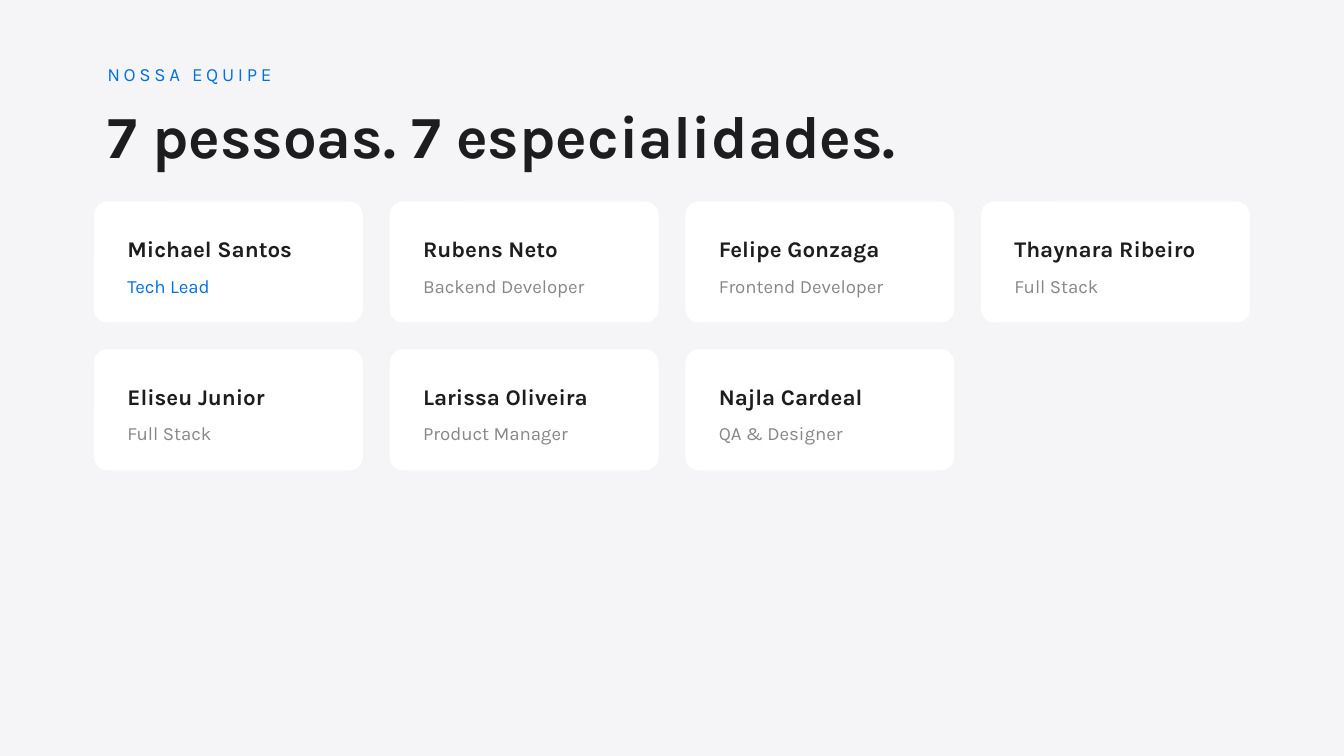
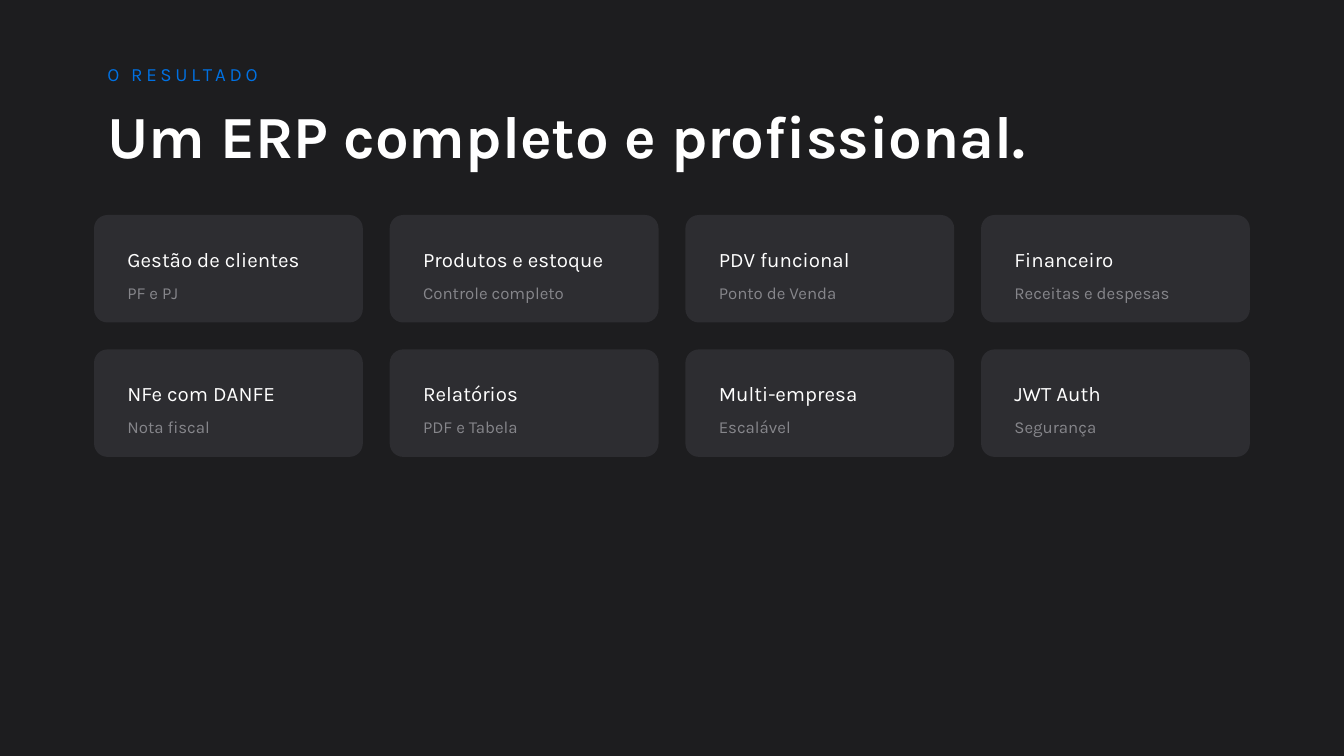
import pptx
import pptx.dml.color
import pptx.enum.shapes
import pptx.enum.text
import pptx.util

COLORS = {
    "light": "F5F5F7",
    "dark": "1D1D1F",
    "white": "FFFFFF",
    "panel": "2D2D31",
    "accent": "0071E3",
    "muted": "86868B",
}
FONT = "Karla"
CELL = pptx.util.Inches(0.1)
SLIDE_COLUMNS, SLIDE_ROWS = 100, 56.25
MARGIN = 7
CARDS_PER_ROW = 4
CARD_WIDTH, CARD_GAP, CARD_PADDING = 20, 2, 1.5
CORNER_RADIUS = 1

TEAM = [
    ("Michael Santos", "Tech Lead"),
    ("Rubens Neto", "Backend Developer"),
    ("Felipe Gonzaga", "Frontend Developer"),
    ("Thaynara Ribeiro", "Full Stack"),
    ("Eliseu Junior", "Full Stack"),
    ("Larissa Oliveira", "Product Manager"),
    ("Najla Cardeal", "QA & Designer"),
]
FEATURES = [
    ("Gestão de clientes", "PF e PJ"),
    ("Produtos e estoque", "Controle completo"),
    ("PDV funcional", "Ponto de Venda"),
    ("Financeiro", "Receitas e despesas"),
    ("NFe com DANFE", "Nota fiscal"),
    ("Relatórios", "PDF e Tabela"),
    ("Multi-empresa", "Escalável"),
    ("JWT Auth", "Segurança"),
]


def color(name):
    return pptx.dml.color.RGBColor.from_string(COLORS[name])


def cells(*counts):
    return [round(count * CELL) for count in counts]


def add_label(slide, text, area, size, tone, bold=False, spacing=0):
    label = slide.shapes.add_textbox(*cells(*area))
    frame = label.text_frame
    frame.word_wrap = True
    frame.vertical_anchor = pptx.enum.text.MSO_ANCHOR.MIDDLE
    paragraph = frame.paragraphs[0]
    run = paragraph.add_run()
    run.text = text
    paragraph.font.name = FONT
    paragraph.font.size = pptx.util.Pt(size)
    paragraph.font.bold = bold
    paragraph.font.color.rgb = color(tone)
    if spacing:
        run.font._element.set("spc", str(spacing * 100))


def add_headed_slide(deck, background, eyebrow, title, title_width, title_tone):
    slide = deck.slides.add_slide(deck.slide_layouts[6])
    slide.background.fill.solid()
    slide.background.fill.fore_color.rgb = color(background)
    add_label(slide, eyebrow, (MARGIN, 4, 30, 3), 10, "accent", spacing=2)
    add_label(slide, title, (MARGIN, 7, title_width, 6), 32, title_tone, bold=True)
    return slide


def add_card(slide, left, top, height, fill):
    card = slide.shapes.add_shape(
        pptx.enum.shapes.MSO_SHAPE.ROUNDED_RECTANGLE,
        *cells(left, top, CARD_WIDTH, height),
    )
    card.adjustments[0] = CORNER_RADIUS / height
    card.shadow.inherit = False
    card.fill.solid()
    card.fill.fore_color.rgb = color(fill)
    card.line.fill.background()


def add_card_grid(slide, entries, first_row, row_step, height, fill,
                  heading_offset, detail_offset, heading_size, detail_size,
                  heading_tone, bold=False, highlighted=None):
    text_width = CARD_WIDTH - 2 * CARD_PADDING
    for index, (heading, detail) in enumerate(entries):
        row, column = divmod(index, CARDS_PER_ROW)
        left = MARGIN + column * (CARD_WIDTH + CARD_GAP)
        top = first_row + row * row_step
        text_left = left + CARD_PADDING
        detail_tone = "accent" if index == highlighted else "muted"
        add_card(slide, left, top, height, fill)
        add_label(slide, heading, (text_left, top + heading_offset, text_width, 3),
                  heading_size, heading_tone, bold)
        add_label(slide, detail, (text_left, top + detail_offset, text_width, 2.5),
                  detail_size, detail_tone)


def add_team_slide(deck):
    slide = add_headed_slide(deck, "light", "NOSSA EQUIPE",
                             "7 pessoas. 7 especialidades.", 70, "dark")
    add_card_grid(slide, TEAM, first_row=15, row_step=11, height=9, fill="white",
                  heading_offset=2, detail_offset=5, heading_size=12,
                  detail_size=10, heading_tone="dark", bold=True, highlighted=0)


def add_result_slide(deck):
    slide = add_headed_slide(deck, "dark", "O RESULTADO",
                             "Um ERP completo e profissional.", 80, "white")
    add_card_grid(slide, FEATURES, first_row=16, row_step=10, height=8, fill="panel",
                  heading_offset=1.8, detail_offset=4.5, heading_size=11,
                  detail_size=9, heading_tone="white")


def main():
    deck = pptx.Presentation()
    deck.slide_width, deck.slide_height = cells(SLIDE_COLUMNS, SLIDE_ROWS)
    add_team_slide(deck)
    add_result_slide(deck)
    deck.save("out.pptx")


if __name__ == "__main__":
    main()
